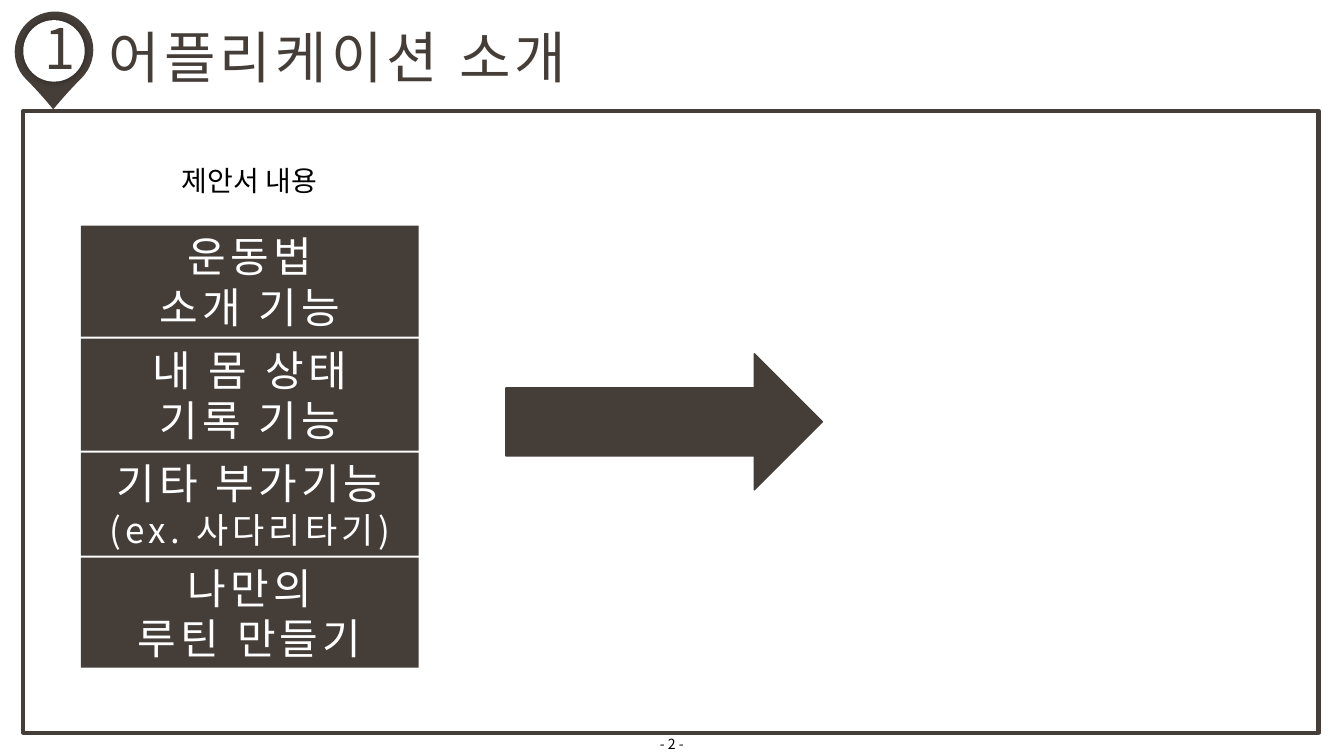
from lxml.etree import SubElement
from pptx import Presentation
from pptx.dml.color import RGBColor
from pptx.enum.shapes import MSO_SHAPE
from pptx.enum.text import MSO_ANCHOR, PP_ALIGN
from pptx.oxml.ns import qn
from pptx.util import Pt

FONT = "Noto Sans CJK KR"
BROWN, WHITE, BLACK = "453D38", "FFFFFF", "000000"
FEATURES = [
    (79.3, [("운동법", 30), ("소개 기능", 30)]),
    (80, [("내 몸 상태", 30), ("기록 기능", 30)]),
    (73.6, [("기타 부가기능", 30), ("(ex. 사다리타기)", 25)]),
    (78.6, [("나만의", 30), ("루틴 만들기", 30)]),
]


def rgb(color):
    """Turn a hex string into a colour."""
    return RGBColor.from_string(color)


def add_shape(s, kind, box, fill=None, line=None, width=1):
    """Add a preset shape with an optional fill and outline."""
    sp = s.shapes.add_shape(kind, *map(Pt, box))
    sp.shadow.inherit = False
    if fill:
        sp.fill.solid()
        sp.fill.fore_color.rgb = rgb(fill)
    else:
        sp.fill.background()
    if line:
        sp.line.color.rgb = rgb(line)
        sp.line.width = Pt(width)
    else:
        sp.line.fill.background()
    return sp


def add_glow(sp, blur, alpha):
    """Give a shape a soft black shadow without offset."""
    effects = sp._element.spPr.find(qn("a:effectLst"))
    shadow = SubElement(effects, qn("a:outerShdw"), blurRad=str(Pt(blur)),
                        dist="0", dir="0", algn="ctr", rotWithShape="0")
    color = SubElement(shadow, qn("a:srgbClr"), val=BLACK)
    SubElement(color, qn("a:alpha"), val=str(alpha * 1000))


def write(sp, lines, color, spacing=0, align=PP_ALIGN.CENTER, wrap=True):
    """Write one paragraph for each pair of text and size."""
    tf = sp.text_frame
    tf.word_wrap = wrap
    tf.vertical_anchor = MSO_ANCHOR.MIDDLE
    tf.margin_top = tf.margin_bottom = Pt(3.6)
    for i, (text, size) in enumerate(lines):
        p = tf.paragraphs[0] if i == 0 else tf.add_paragraph()
        p.alignment = align
        p.line_spacing = Pt(size * 1.2)
        r = p.add_run()
        r.text = text
        r.font.size = Pt(size)
        r.font.name = FONT
        r.font.color.rgb = rgb(color)
        rPr = r.font._element
        rPr.set("spc", str(spacing * 100))
        SubElement(rPr, qn("a:ea"), typeface=FONT)


def add_text(s, box, text, size, color, **style):
    """Add a text box with a single line."""
    sp = s.shapes.add_textbox(*map(Pt, box))
    write(sp, [(text, size)], color, **style)


def add_pin(s):
    """Add the map pin that holds the section number."""
    drop = add_shape(s, MSO_SHAPE.TEAR, (10.1, 8.6, 56.9, 55.4), BROWN)
    drop.adjustments[0] = 1.053
    drop.rotation = 135
    hole = add_shape(s, MSO_SHAPE.OVAL, (16.6, 14.4, 43.9, 43.9), WHITE)
    add_glow(hole, 5, 40)


def add_features(s, left, top, width, gap):
    """Stack the feature boxes from top to bottom."""
    for height, lines in FEATURES:
        sp = add_shape(s, MSO_SHAPE.RECTANGLE, (left, top, width, height), BROWN)
        write(sp, lines, WHITE, spacing=3)
        top += height + gap


def main():
    """Build the slide and save it."""
    prs = Presentation()
    prs.slide_width, prs.slide_height = Pt(960), Pt(540)
    s = prs.slides.add_slide(prs.slide_layouts[6])
    add_pin(s)
    add_shape(s, MSO_SHAPE.RECTANGLE, (16.6, 79.2, 925.2, 444.2), line=BROWN, width=3)
    add_text(s, (24.5, 6.5, 33.1, 54.7), "1", 40, BROWN, spacing=3, wrap=False)
    add_text(s, (149, 522, 661.7, 18.7), "- 2 -", 10, BLACK)
    add_features(s, 57.8, 161.2, 241.2, 1.4)
    add_text(s, (69.8, 113, 216.7, 31.7), "제안서 내용", 20, BLACK)
    add_shape(s, MSO_SHAPE.RIGHT_ARROW, (361.4, 252.7, 226.1, 97.2), BROWN, BROWN)
    add_text(s, (70.6, 12.2, 715, 55.4), "어플리케이션 소개", 40, BROWN,
             spacing=3, align=PP_ALIGN.LEFT)
    prs.save("out.pptx")


if __name__ == "__main__":
    main()
